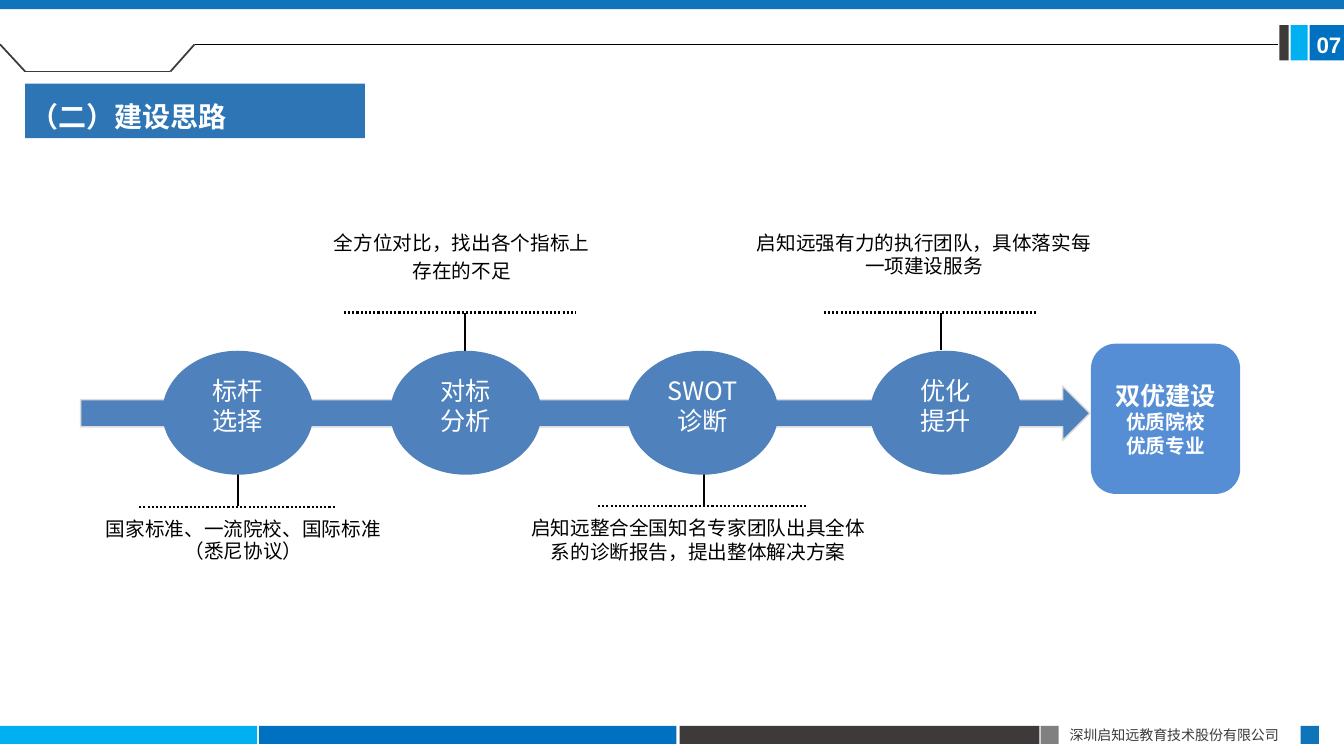
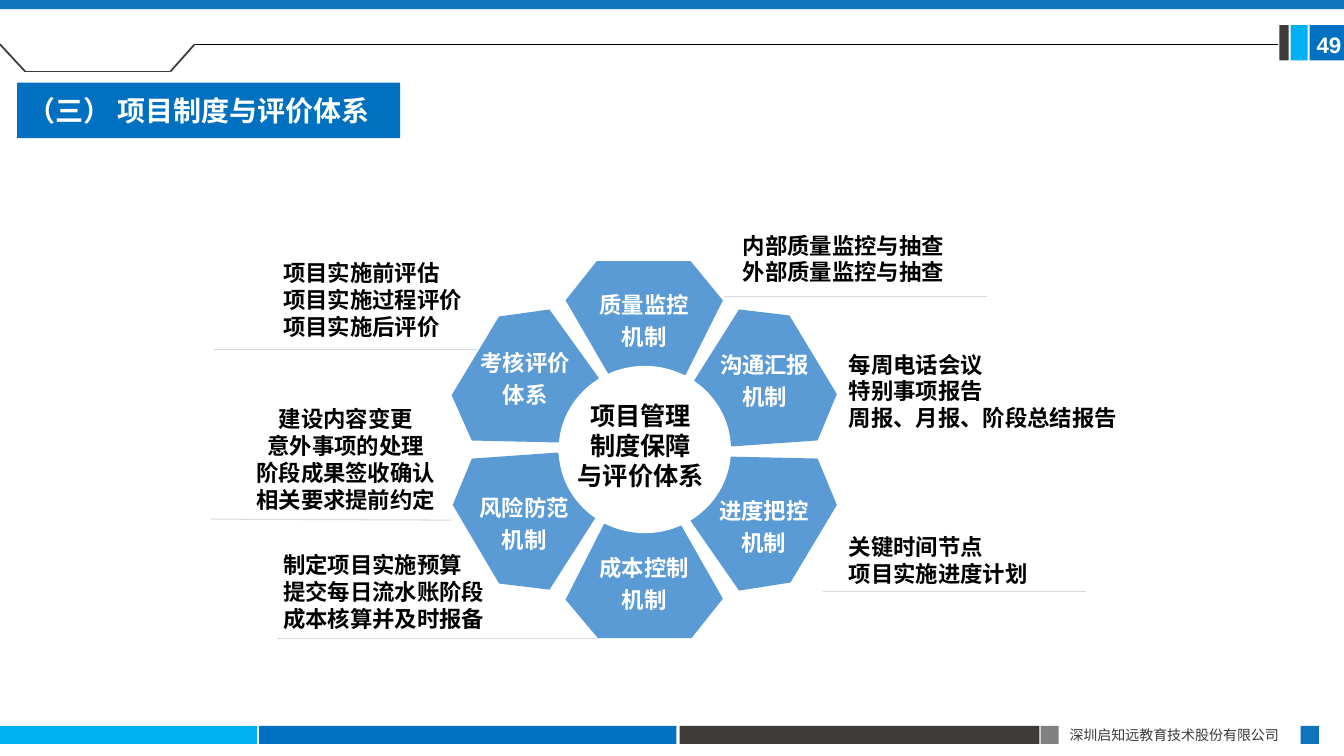
from lxml import etree
from pptx import Presentation
from pptx import util as u
from pptx.dml.color import RGBColor
from pptx.enum import dml, shapes, text
from pptx.oxml.ns import qn

PX = 9144  # 100 px to the inch
SANS = "Noto Sans CJK SC"

WHITE = RGBColor(0xFF, 0xFF, 0xFF)
BLACK = RGBColor(0x00, 0x00, 0x00)
DARK = RGBColor(0x3E, 0x3A, 0x39)
GREY = RGBColor(0x80, 0x80, 0x80)
PALE = RGBColor(0xD9, 0xD9, 0xD9)
EDGE = RGBColor(0xDC, 0xDC, 0xDC)
CYAN = RGBColor(0x00, 0xB0, 0xF0)
BLUE = RGBColor(0x00, 0x70, 0xC0)
TRIM = RGBColor(0x10, 0x74, 0xBB)
STEEL = RGBColor(0x2E, 0x75, 0xB6)
FLOW = RGBColor(0x4F, 0x81, 0xBD)
GOAL = RGBColor(0x55, 0x8E, 0xD5)
PETAL = RGBColor(0x5B, 0x9B, 0xD5)

RECT = shapes.MSO_SHAPE.RECTANGLE
OVAL = shapes.MSO_SHAPE.OVAL
ARROW = shapes.MSO_SHAPE.RIGHT_ARROW
ROUND = shapes.MSO_SHAPE.ROUNDED_RECTANGLE
MID = text.MSO_ANCHOR.MIDDLE
LEFT = {"alignment": text.PP_ALIGN.LEFT}
CENTER = {"alignment": text.PP_ALIGN.CENTER}
TITLE = {"size": u.Pt(20), "bold": True}
STEP = {"size": u.Pt(18)}
STRONG = {"size": u.Pt(18), "bold": True}
NOTE = {"size": u.Pt(14), "name": "Arial"}
HEAD = {"size": u.Pt(16), "bold": True}


def box(page, kind, at, fill=None, words="", font=HEAD, ink=BLACK, para=LEFT, frame={}):
    """Add a preset shape, an outline (kind is a list of points) or, for None, a text box."""
    if kind is None:
        item = page.shapes.add_textbox(*[n * PX for n in at])
    else:
        if isinstance(kind, list):
            pen = page.shapes.build_freeform(*kind[0], scale=PX)
            pen.add_line_segments(kind[1:], close=True)
            item = pen.convert_to_shape()
        else:
            item = page.shapes.add_shape(kind, *[n * PX for n in at])
        item.shadow.inherit = False
        item.fill.solid()
        item.fill.fore_color.rgb = fill
        item.line.fill.background()
    if words:
        body = item.text_frame
        body.word_wrap = True
        body.text = words
        for key, val in frame.items():
            setattr(body, key, val)
        for row in body.paragraphs:
            for key, val in para.items():
                setattr(row, key, val)
            for run in row.runs:
                for key, val in {"name": SANS, **font}.items():
                    setattr(run.font, key, val)
                run.font.color.rgb = ink
                etree.SubElement(run.font._element, qn("a:ea"), typeface=SANS)
    return item


def line(page, start, end, ink, width, dash=None):
    item = page.shapes.add_connector(
        shapes.MSO_CONNECTOR.STRAIGHT, *[n * PX for n in (*start, *end)])
    item.line.color.rgb = ink
    item.line.width = u.Pt(width)
    if dash:
        item.line.dash_style = dash
    etree.SubElement(item._element.spPr, qn("a:effectLst"))


deck = Presentation()
deck.slide_width = 1333 * PX
deck.slide_height = 750 * PX

# Shared frame: bands, footer, header line, page number and title
BANDS = [
    (0, 720, 255, 18, CYAN), (257, 720, 414, 18, BLUE), (674, 720, 357, 18, DARK),
    (1032, 720, 18, 18, GREY), (1290, 720, 18, 18, TRIM),
    (1299, 25, 35, 35, BLUE), (1280, 25, 17, 35, CYAN), (1269, 25, 9, 35, DARK),
    (0, 0, 1333, 9, TRIM),
]
TAB = [(0, 44), (25, 71), (169, 71), (193, 44)]
HEADS = [
    ("07", "（二）建设思路", (25, 83, 337, 54), STEEL, 1.3, 5),
    ("49", "（三） 项目制度与评价体系", (17, 82, 380, 55), BLUE, 1.0, 10),
]
pages = []
for num, name, at, fill, lead, pad in HEADS:
    page = deck.slides.add_slide(deck.slide_layouts[6])
    for *spot, tint in BANDS:
        box(page, RECT, spot, tint)
    box(page, None, (1051, 716, 240, 27), words="深圳启知远教育技术股份有限公司",
        font={"size": u.Pt(10)}, ink=DARK)
    for start, end in zip(TAB, TAB[1:]):
        line(page, start, end, DARK, 1.25)
    line(page, TAB[-1], (1268, 44), BLACK, 0.5)
    box(page, None, (1296, 26, 50, 37), words=num, font={**HEAD, "name": "Arial"}, ink=WHITE)
    box(page, RECT, at, fill, name, TITLE, WHITE, {**LEFT, "line_spacing": lead},
        {"vertical_anchor": MID, "margin_left": pad * PX})
    pages.append(page)
plan, wheel = pages

# Process arrow with four steps
shaft = box(plan, ARROW, (80, 383, 1001, 54), FLOW)
shaft.line.color.rgb = EDGE
shaft.line.width = u.Pt(1)

# label, oval left, stem x, stem top, stem foot, rule y, rule left, rule right
STEPS = [
    ("标杆\n选择", 161, 236, 466, 502, 503, 138, 332),
    ("对标\n分析", 387, 461, 311, 348, 310, 341, 571),
    ("SWOT诊断", 622, 698, 466, 502, 502, 593, 799),
    ("优化\n提升", 863, 933, 311, 347, 310, 817, 1029),
]
for name, left, stem, top, foot, rule, west, east in STEPS:
    line(plan, (stem, top), (stem, foot), BLACK, 1.5)
    line(plan, (west, rule), (east, rule), BLACK, 1.5, dml.MSO_LINE.ROUND_DOT)
    box(plan, OVAL, (left, 348, 150, 123), FLOW, name, STEP, WHITE, CENTER,
        {"vertical_anchor": MID, "margin_bottom": 20 * PX})

NOTES = [
    ((78, 511, 327, 62), "国家标准、一流院校、国际标准（悉尼协议）", 0.9),
    ((242, 224, 432, 73), "全方位对比，找出各个指标上\n存在的不足", 1.0),
    ((512, 507, 361, 96), "启知远整合全国知名专家团队出具全体系的诊断报告，提出整体解决方案", 1.0),
    ((736, 224, 361, 68), "启知远强有力的执行团队，具体落实每一项建设服务", 1.0),
]
for at, words, lead in NOTES:
    note = box(plan, None, at, words=words, font=NOTE, para={**CENTER, "line_spacing": lead})
    for row in note.text_frame.paragraphs[1:]:
        row.space_before = u.Pt(3)

goal = box(plan, ROUND, (1082, 341, 148, 149), GOAL, "双优建设\n优质院校\n优质专业",
           STRONG, WHITE, CENTER, {"vertical_anchor": MID})
for row in goal.text_frame.paragraphs[1:]:
    row.runs[0].font.size = u.Pt(14)

# Wheel of six petals
PETALS = [
    ("质量监控\n机制", [(592, 259), (685, 259), (717, 298), (680, 372), (604, 372), (561, 298)]),
    ("沟通汇报\n机制", [(733, 307), (783, 313), (830, 391), (811, 437), (725, 443), (687, 380)]),
    ("进度把控\n机制", [(723, 453), (811, 455), (830, 501), (784, 578), (733, 586), (685, 517)]),
    ("成本控制\n机制", [(599, 520), (675, 520), (717, 594), (686, 633), (593, 633), (561, 595)]),
    ("风险防范\n机制", [(553, 449), (591, 513), (545, 585), (495, 579), (449, 501), (468, 455)]),
    ("考核评价\n体系", [(545, 307), (594, 375), (556, 439), (468, 437), (448, 392), (495, 314)]),
]
for name, rim in PETALS:
    box(wheel, rim, None, PETAL, name, HEAD, WHITE, {**CENTER, "line_spacing": 1.2},
        {"vertical_anchor": MID})
box(wheel, OVAL, (554, 363, 171, 166), WHITE)
box(wheel, None, (544, 392, 183, 109), words="项目管理\n制度保障\n与评价体系",
    font=STRONG, para=CENTER)

RULES = [
    ((718, 294), (979, 294)), ((816, 587), (1077, 587)), ((209, 515), (448, 516)),
    ((275, 633), (593, 633)), ((212, 347), (473, 347)),
]
for start, end in RULES:
    line(wheel, start, end, PALE, 0.75)

LISTS = [
    ((727, 225, 229, 94), "内部质量监控与抽查\n外部质量监控与抽查", LEFT),
    ((832, 343, 292, 118), "每周电话会议\n特别事项报告\n周报、月报、阶段总结报告", LEFT),
    ((832, 524, 204, 91), "关键时间节点\n项目实施进度计划", LEFT),
    ((241, 397, 204, 145), "建设内容变更\n意外事项的处理\n阶段成果签收确认\n相关要求提前约定", CENTER),
    ((271, 542, 226, 91), "制定项目实施预算\n提交每日流水账阶段\n成本核算并及时报备", LEFT),
    ((271, 252, 204, 118), "项目实施前评估\n项目实施过程评价\n项目实施后评价", LEFT),
]
for at, words, para in LISTS:
    box(wheel, None, at, words=words, para=para)

deck.save("out.pptx")
